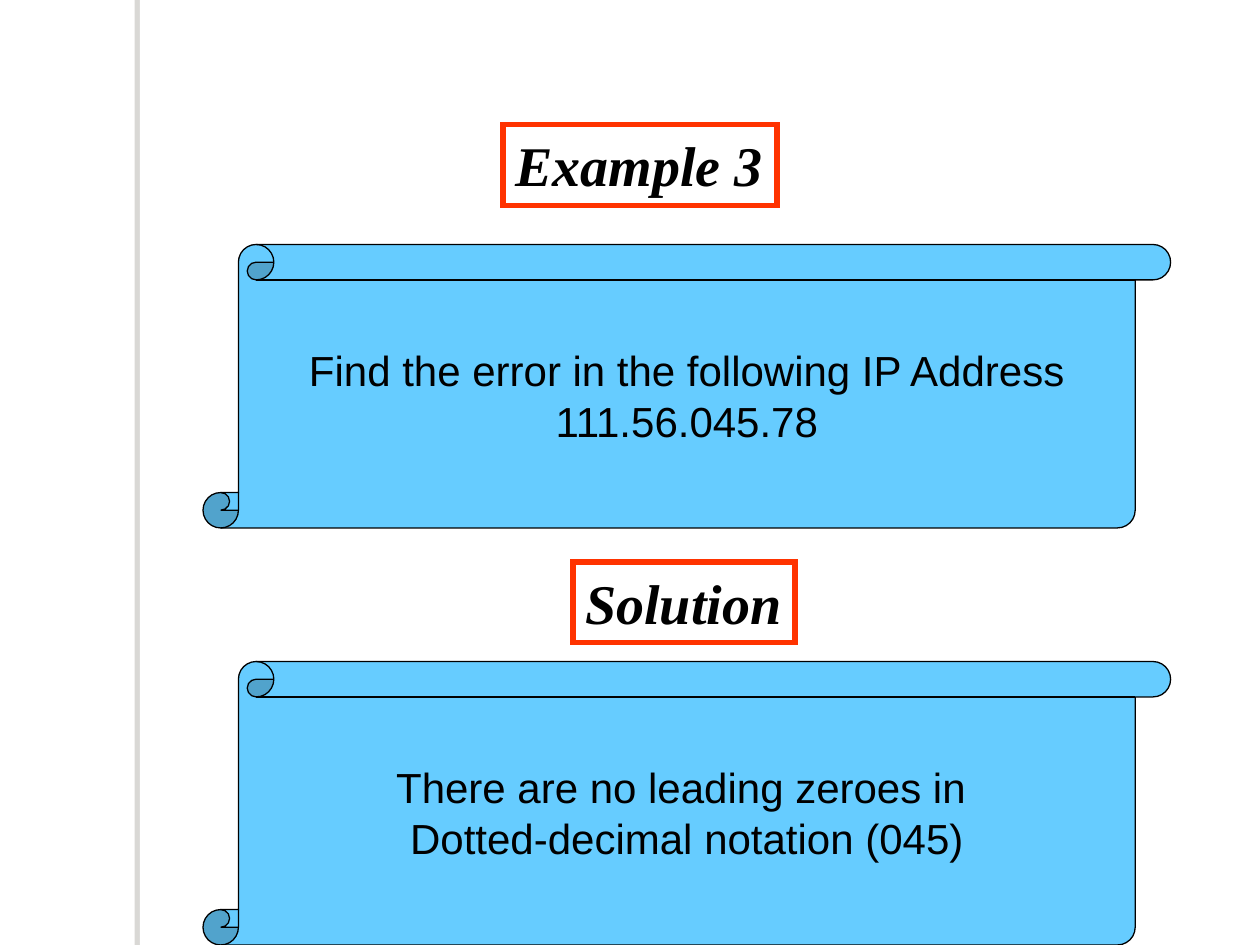
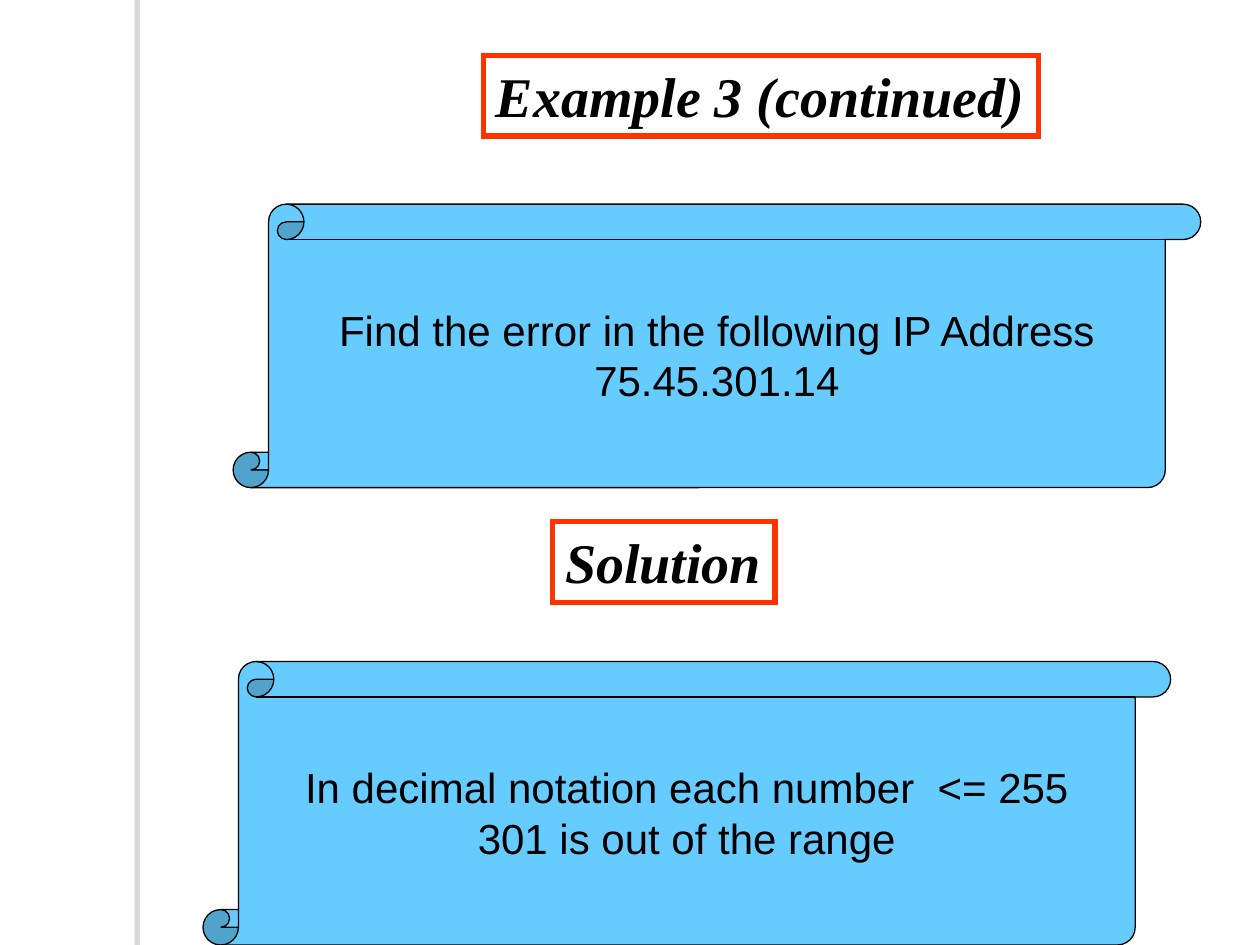
from lxml import etree
from pptx import Presentation
from pptx import util as u
from pptx.dml import color
from pptx.enum import shapes, text
from pptx.oxml import ns

PAGE_WIDTH, PAGE_HEIGHT = 720, 540
WHITE, BLACK, RED, SKY, SHADE = "FFFFFF", "000000", "FF3300", "66CCFF", "706B5F"
SCROLL_SIZE = (552.96, 162)
LABEL_HEIGHT = 46.08


def rgb(value):
    """Turn a hex string into a colour."""
    return color.RGBColor.from_string(value)


def in_points(box):
    """Turn a (left, top, width, height) box into lengths."""
    return [u.Pt(length) for length in box]


def paint(shape, fill, line=None, weight=0):
    """Give a shape a flat fill and a sharp-cornered line, or no line."""
    shape.shadow.inherit = False
    shape.fill.solid()
    shape.fill.fore_color.rgb = rgb(fill)
    if line:
        shape.line.color.rgb = rgb(line)
        shape.line.width = u.Pt(weight)
        outline = shape._element.spPr.find(ns.qn("a:ln"))
        etree.SubElement(outline, ns.qn("a:miter"), lim="800000")
    else:
        shape.line.fill.background()


def write(shape, lines, font, size, align, bold=False):
    """Fill a shape with unwrapped lines; bold text is also italic."""
    frame = shape.text_frame
    frame.word_wrap = False
    for index, line in enumerate(lines):
        para = frame.add_paragraph() if index else frame.paragraphs[0]
        para.alignment = align
        span = para.add_run()
        span.text = line
        span.font.name = font
        span.font.size = u.Pt(size)
        span.font.bold = span.font.italic = bold
        span.font.color.rgb = rgb(BLACK)


def add_side_bar(page):
    """Draw the white bar whose shadow falls to the left."""
    box = (79.92, 0, 5.76, PAGE_HEIGHT)
    bar = page.shapes.add_shape(shapes.MSO_SHAPE.RECTANGLE, *in_points(box))
    paint(bar, WHITE)
    effects = bar._element.spPr.find(ns.qn("a:effectLst"))
    shadow = etree.SubElement(effects, ns.qn("a:outerShdw"), dist=str(u.Pt(3)),
                              dir="10800000", algn="ctr", rotWithShape="0")
    tint = etree.SubElement(shadow, ns.qn("a:srgbClr"), val=SHADE)
    etree.SubElement(tint, ns.qn("a:alpha"), val="25000")


def add_label(page, left, top, width, label):
    """Draw a red-framed heading that grows to fit its one line."""
    box = (left, top, width, LABEL_HEIGHT)
    heading = page.shapes.add_textbox(*in_points(box))
    paint(heading, WHITE, RED, 3)
    write(heading, [label], "Times New Roman", 32, text.PP_ALIGN.LEFT, bold=True)
    heading.text_frame.auto_size = text.MSO_AUTO_SIZE.SHAPE_TO_FIT_TEXT


def add_scroll(page, left, top, lines):
    """Draw a blue scroll with centred lines."""
    box = (left, top, *SCROLL_SIZE)
    scroll = page.shapes.add_shape(shapes.MSO_SHAPE.VERTICAL_SCROLL, *in_points(box))
    scroll.adjustments[0] = 0.125
    paint(scroll, SKY, BLACK, 0.75)
    write(scroll, lines, "Arial", 24, text.PP_ALIGN.CENTER)
    scroll.text_frame.vertical_anchor = text.MSO_ANCHOR.MIDDLE


def add_example(deck, title, solution, question, answer):
    """Add one question-and-solution slide."""
    page = deck.slides.add_slide(deck.slide_layouts[6])
    page.background.fill.solid()
    page.background.fill.fore_color.rgb = rgb(WHITE)
    add_side_bar(page)
    add_label(page, *title)
    add_label(page, *solution, 127, "Solution")
    add_scroll(page, *question)
    add_scroll(page, 116, PAGE_HEIGHT - SCROLL_SIZE[1], answer)


def main():
    """Build and save the deck."""
    deck = Presentation()
    deck.slide_width, deck.slide_height = u.Pt(PAGE_WIDTH), u.Pt(PAGE_HEIGHT)
    task = "Find the error in the following IP Address"
    add_example(
        deck,
        title=(287.5, 71.28, 156.5, "Example 3"),
        solution=(327.4, 321.12),
        question=(116, 139.68, [task, "111.56.045.78"]),
        answer=["There are no leading zeroes in ", "Dotted-decimal notation (045)"],
    )
    add_example(
        deck,
        title=(276.2, 31.68, 317.2, "Example 3 (continued)"),
        solution=(315.9, 298.08),
        question=(133.2, 116.64, [task, "75.45.301.14"]),
        answer=["In decimal notation each number  <= 255", "301 is out of the range"],
    )
    deck.save("out.pptx")


if __name__ == "__main__":
    main()
